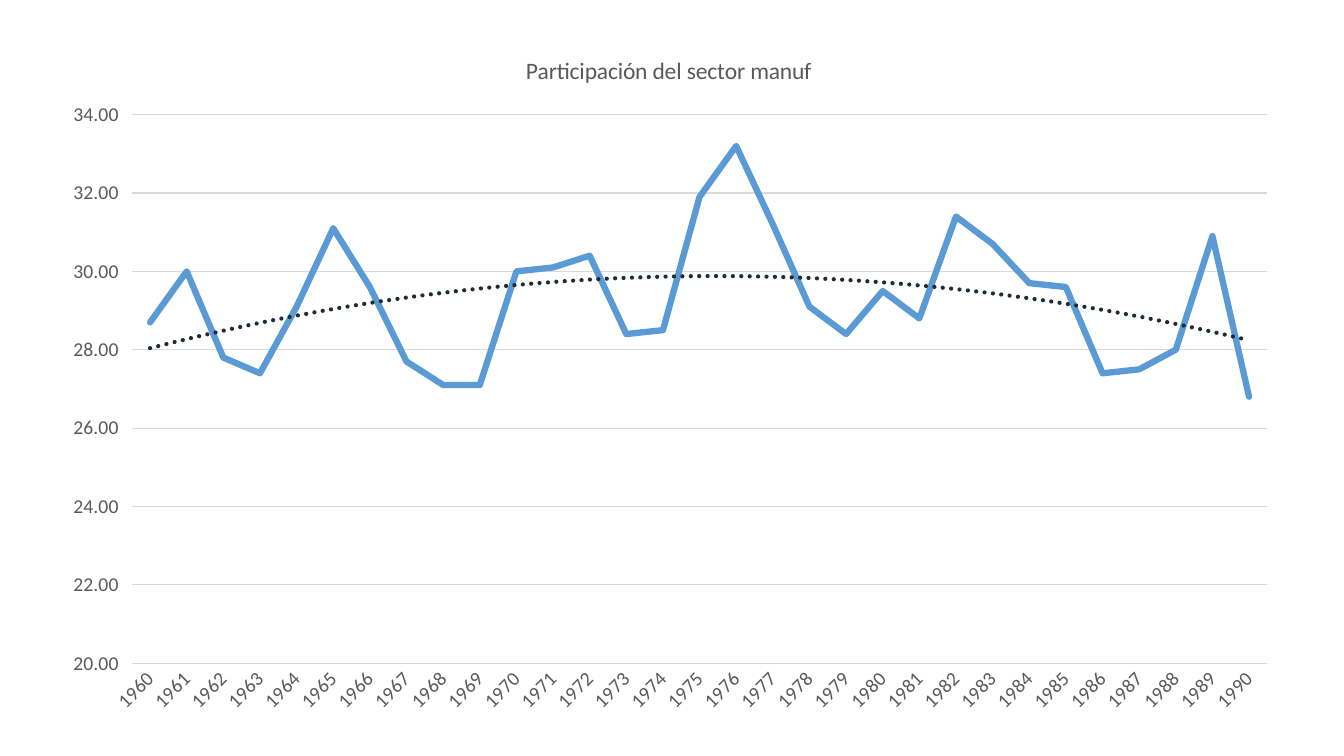
from dataclasses import dataclass

from lxml import etree
from pptx import Presentation
from pptx.chart.data import CategoryChartData
from pptx.dml.color import RGBColor
from pptx.enum.chart import XL_CHART_TYPE as ChartType, XL_TICK_MARK as TickMark
from pptx.oxml import parse_xml
from pptx.oxml.ns import nsdecls, qn
from pptx.util import Cm, Pt

YEARS = [str(year) for year in range(1960, 1991)]
SHARES = [
    28.7, 30, 27.8, 27.4, 29.1, 31.1, 29.6, 27.7, 27.1, 27.1, 30,
    30.1, 30.4, 28.4, 28.5, 31.9, 33.2, 31.2, 29.1, 28.4, 29.5,
    28.8, 31.4, 30.7, 29.7, 29.6, 27.4, 27.5, 28, 30.9, 26.8,
]


@dataclass(frozen=True)
class Theme:
    font: str = "Calibri"
    text: str = "595959"
    grid: str = "D9D9D9"
    series: str = "5B9BD5"
    trend: str = "222A35"
    title_size: float = 16.8
    label_size: float = 14
    series_width: float = 4.5
    trend_width: float = 3
    grid_width: float = 0.75


class SlideBuilder:
    def __init__(self, slide, theme):
        self.slide = slide
        self.theme = theme

    def style_font(self, font, size):
        font.name = self.theme.font
        font.size = Pt(size)
        font.bold = False
        font.color.rgb = RGBColor.from_string(self.theme.text)

    def style_line(self, line, color, width):
        line.color.rgb = RGBColor.from_string(color)
        line.width = Pt(width)

    def line_chart(self, title, categories, values, left, top, width, height):
        data = CategoryChartData(number_format="0.0")
        data.categories = categories
        data.add_series(title, values)
        frame = self.slide.shapes.add_chart(
            ChartType.LINE, left, top, width, height, data
        )
        chart = frame.chart
        self.style_font(chart.font, self.theme.label_size)
        chart.has_legend = False
        self.chart_title(chart, title)
        self.category_axis(chart.category_axis)
        self.value_axis(chart.value_axis)
        series = chart.plots[0].series[0]
        series.smooth = False
        self.style_line(series.format.line, self.theme.series, self.theme.series_width)
        outline = series.format.line._get_or_add_ln()
        outline.set("cap", "rnd")
        etree.SubElement(outline, qn("a:round"))
        series.marker.style = None
        series.marker.format.fill.background()
        self.hide_marker(series)
        self.trend_line(series)
        return chart

    def hide_marker(self, series):
        marker = series._element.find(qn("c:marker"))
        for child in list(marker):
            marker.remove(child)
        etree.SubElement(marker, qn("c:symbol")).set("val", "none")

    def chart_title(self, chart, text):
        chart.has_title = True
        para = chart.chart_title.text_frame.paragraphs[0]
        span = para.add_run()
        span.text = text
        self.style_font(span.font, self.theme.title_size)
        chart.chart_title.include_in_layout = False

    def category_axis(self, axis):
        axis.major_tick_mark = axis.minor_tick_mark = TickMark.NONE
        self.style_font(axis.tick_labels.font, self.theme.label_size)
        axis._element.find(qn("c:txPr")).find(qn("a:bodyPr")).set("rot", "-2700000")
        self.style_line(axis.format.line, self.theme.grid, self.theme.grid_width)

    def value_axis(self, axis):
        axis.minimum_scale = 20
        axis.maximum_scale = 34
        axis.major_unit = 2
        axis.major_tick_mark = axis.minor_tick_mark = TickMark.NONE
        axis.format.line.fill.background()
        self.style_font(axis.tick_labels.font, self.theme.label_size)
        axis.tick_labels.number_format = r"#,##0.00\ \ "
        axis.tick_labels.number_format_is_linked = False
        axis.has_major_gridlines = True
        self.style_line(
            axis.major_gridlines.format.line, self.theme.grid, self.theme.grid_width
        )

    def trend_line(self, series):
        trend = parse_xml(
            f'<c:trendline {nsdecls("c", "a")}><c:spPr>'
            f'<a:ln w="{Pt(self.theme.trend_width)}" cap="rnd"><a:solidFill>'
            f'<a:srgbClr val="{self.theme.trend}"/></a:solidFill>'
            '<a:prstDash val="sysDot"/></a:ln></c:spPr>'
            '<c:trendlineType val="poly"/><c:order val="2"/>'
            '<c:dispRSqr val="0"/><c:dispEq val="0"/></c:trendline>'
        )
        series._element.find(qn("c:cat")).addprevious(trend)

    def place_plot(self, chart, left, top, width, height):
        plot_area = chart._chartSpace.chart.plotArea
        for old in plot_area.findall(qn("c:layout")):
            plot_area.remove(old)
        layout = parse_xml(
            f'<c:layout {nsdecls("c")}><c:manualLayout>'
            '<c:layoutTarget val="inner"/><c:xMode val="edge"/><c:yMode val="edge"/>'
            f'<c:x val="{left}"/><c:y val="{top}"/>'
            f'<c:w val="{width}"/><c:h val="{height}"/>'
            '</c:manualLayout></c:layout>'
        )
        plot_area.insert(0, layout)


def main():
    deck = Presentation()
    deck.slide_width, deck.slide_height = Cm(33.87), Cm(19.05)
    blank_layout = deck.slide_layouts[6]
    builder = SlideBuilder(deck.slides.add_slide(blank_layout), Theme())
    chart = builder.line_chart(
        "Participación del sector manuf", YEARS, SHARES,
        Cm(1.12), Cm(0.79), Cm(31.45), Cm(17.5),
    )
    builder.place_plot(chart, 0.07, 0.12, 0.91, 0.79)
    deck.save("out.pptx")


if __name__ == "__main__":
    main()
